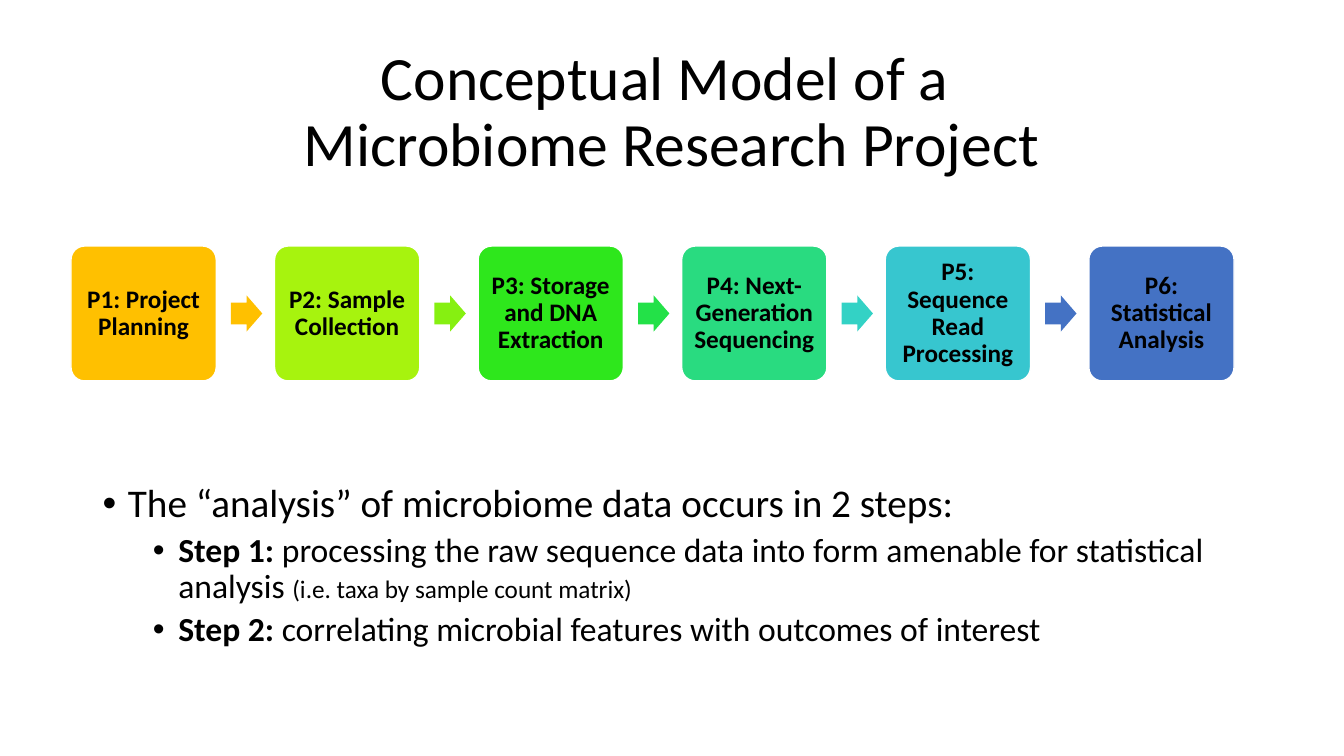
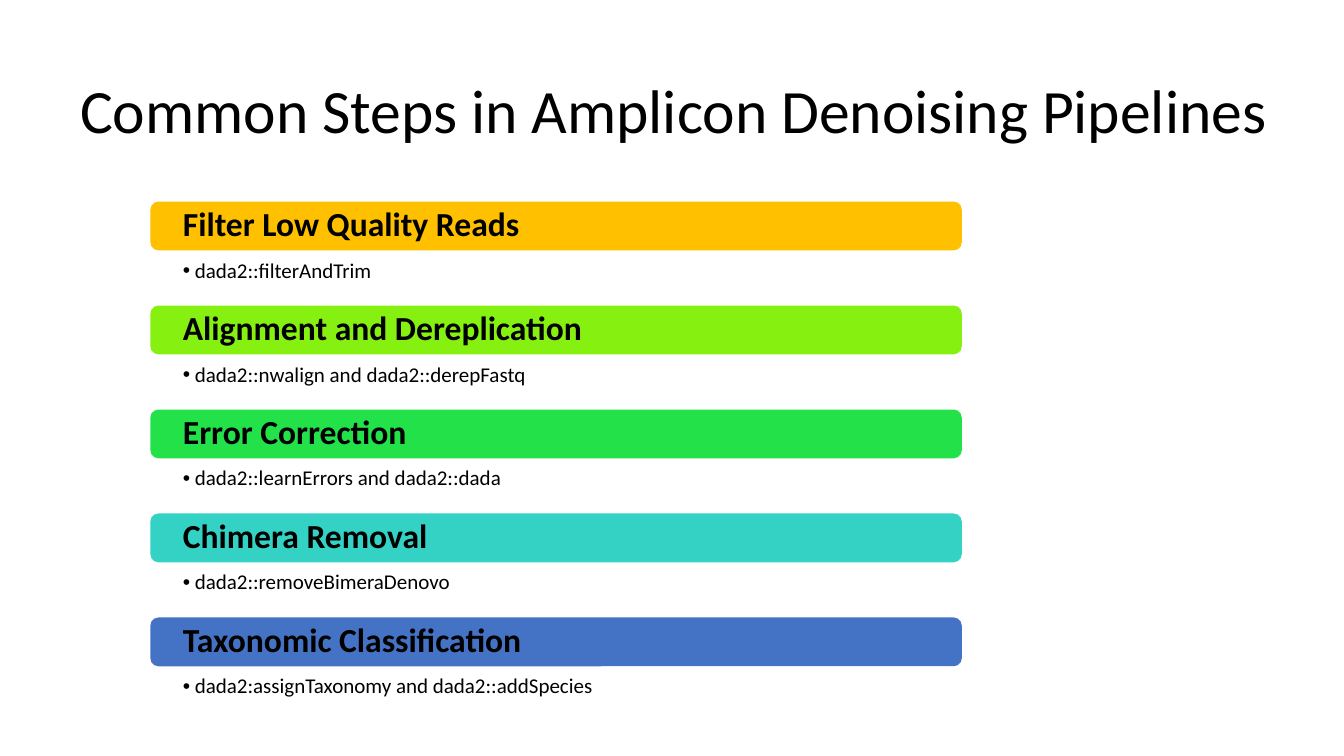
from lxml.etree import SubElement
from pptx import Presentation
from pptx.dml.color import RGBColor
from pptx.enum.shapes import MSO_SHAPE as SHAPE
from pptx.enum.text import MSO_ANCHOR as ANCHOR, MSO_AUTO_SIZE as AUTO, PP_ALIGN as ALIGN
from pptx.oxml.ns import qn
from pptx.util import Cm, Pt

# Content
MODEL_TITLE = ["Conceptual Model of a ", "Microbiome Research Project"]
PHASES = [  # label, card colour, colour of the arrow that follows
    ("P1: Project Planning", "FFC000", "FFC000"),
    ("P2: Sample Collection", "A7F30E", "86F011"),
    ("P3: Storage and DNA Extraction", "2EE71C", "23E148"),
    ("P4: Next-Generation Sequencing", "29DB80", "33D2C5"),
    ("P5: Sequence Read Processing", "37C6CF", "4472C4"),
    ("P6: Statistical Analysis", "4472C4", None),
]
ANALYSIS = [  # level, runs as (text, size, bold)
    (0, [("The “analysis” of microbiome data occurs in 2 steps:", 28, False)]),
    (1, [("Step 1:", 24, True),
         (" processing the raw sequence data into form amenable for statistical analysis ", 24, False),
         ("(i.e. taxa by sample count matrix)", 18, False)]),
    (1, [("Step 2: ", 24, True),
         ("correlating microbial features with outcomes of interest", 24, False)]),
]
PIPELINE_TITLE = ["Common Steps in Amplicon Denoising Pipelines"]
STEPS = [  # step, functions, bar colour
    ("Filter Low Quality Reads", "dada2::filterAndTrim", "FFC000"),
    ("Alignment and Dereplication", "dada2::nwalign and dada2::derepFastq", "86F011"),
    ("Error Correction", "dada2::learnErrors and dada2::dada", "23E148"),
    ("Chimera Removal", "dada2::removeBimeraDenovo", "33D2C5"),
    ("Taxonomic Classification", "dada2:assignTaxonomy and dada2::addSpecies", "4472C4"),
]

# Shared style
FONT, INK, WHITE = "Calibri", "000000", "FFFFFF"
LEVELS = [dict(indent=0.64, before=10), dict(indent=1.91, before=5)]
HANGING = 0.64

# Layout in cm
CARD = dict(left=1.79, top=6.2, width=3.66, height=3.4, step=5.13)
ARROW = dict(offset=4.03, width=0.79, height=0.91)
BAR = dict(left=3.79, top=5.08, width=20.45, height=1.23, step=2.62)
CODE = dict(left=4.61, offset=1.47, width=24.7, height=0.62)


def color(hex_text):
    return RGBColor.from_string(hex_text)


def place(sp, left, top, width, height):
    box = dict(left=left, top=top, width=width, height=height)
    for name, value in box.items():
        setattr(sp, name, Cm(value))


def set_frame(tf, anchor, side=None, edge=None):
    for name, value in dict(word_wrap=True, auto_size=AUTO.NONE, vertical_anchor=anchor).items():
        setattr(tf, name, value)
    for names, inset in ((("left", "right"), side), (("top", "bottom"), edge)):
        for name in names:
            if inset is not None:
                setattr(tf, f"margin_{name}", Cm(inset))


def set_paragraph(p, align=ALIGN.LEFT, before=0):
    style = dict(alignment=align, line_spacing=0.9, space_before=Pt(before), space_after=Pt(0))
    for name, value in style.items():
        setattr(p, name, value)


def add_run(p, text, size, bold=False):
    r = p.add_run()
    r.text = text
    for name, value in dict(name=FONT, size=Pt(size), bold=bold).items():
        setattr(r.font, name, value)
    r.font.color.rgb = color(INK)


def add_bullet(p, indent, hanging):
    pPr = p._p.get_or_add_pPr()
    pPr.set("marL", str(Cm(indent)))
    pPr.set("indent", str(-Cm(hanging)))
    SubElement(pPr, qn("a:buFont")).set("typeface", "Arial")
    SubElement(pPr, qn("a:buChar")).set("char", "•")


def add_preset(s, kind, fill, box, line=None):
    sp = s.shapes.add_shape(kind, *(Cm(v) for v in box))
    sp.shadow.inherit = False
    sp.fill.solid()
    sp.fill.fore_color.rgb = color(fill)
    if line:
        sp.line.color.rgb = color(line)
        sp.line.width = Pt(1)
    else:
        sp.line.fill.background()
    return sp


def add_titled_slide(prs, layout, title_lines, left, width):
    s = prs.slides.add_slide(prs.slide_layouts[layout])
    place(s.shapes.title, left, 1.02, width, 3.68)
    tf = s.shapes.title.text_frame
    set_frame(tf, ANCHOR.MIDDLE)
    p = tf.paragraphs[0]
    set_paragraph(p, ALIGN.CENTER)
    for i, line in enumerate(title_lines):
        if i:
            p.add_line_break()
        add_run(p, line, 44)
    return s


def build_model(prs):
    s = add_titled_slide(prs, 1, MODEL_TITLE, 2.33, 29.21)

    # Row of phases joined by arrows
    for i, (label, fill, arrow_fill) in enumerate(PHASES):
        left = CARD["left"] + i * CARD["step"]
        card = add_preset(s, SHAPE.ROUNDED_RECTANGLE, fill,
                          (left, CARD["top"], CARD["width"], CARD["height"]), WHITE)
        card.adjustments[0] = 0.1
        set_frame(card.text_frame, ANCHOR.MIDDLE, 0.18, 0.18)
        p = card.text_frame.paragraphs[0]
        set_paragraph(p, ALIGN.CENTER)
        add_run(p, label, 18, True)
        if arrow_fill:
            top = CARD["top"] + (CARD["height"] - ARROW["height"]) / 2
            arrow = add_preset(s, SHAPE.RIGHT_ARROW, arrow_fill,
                               (left + ARROW["offset"], top, ARROW["width"], ARROW["height"]))
            arrow.adjustments[0] = 0.6

    # Analysis steps
    body = s.placeholders[1]
    place(body, 2.33, 12.07, 29.21, 5.79)
    tf = body.text_frame
    set_frame(tf, ANCHOR.TOP)
    for i, (level, runs) in enumerate(ANALYSIS):
        p = tf.add_paragraph() if i else tf.paragraphs[0]
        p.level = level
        set_paragraph(p, before=LEVELS[level]["before"])
        add_bullet(p, LEVELS[level]["indent"], HANGING)
        for run in runs:
            add_run(p, *run)


def build_pipeline(prs):
    s = add_titled_slide(prs, 5, PIPELINE_TITLE, 0.81, 32.36)
    for i, (step, functions, fill) in enumerate(STEPS):
        top = BAR["top"] + i * BAR["step"]

        # Step bar
        bar = add_preset(s, SHAPE.ROUNDED_RECTANGLE, fill,
                         (BAR["left"], top, BAR["width"], BAR["height"]))
        set_frame(bar.text_frame, ANCHOR.MIDDLE, 0.76, 0)
        p = bar.text_frame.paragraphs[0]
        set_paragraph(p)
        add_run(p, step, 24, True)

        # Functions below the bar
        box = (CODE["left"], top + CODE["offset"], CODE["width"], CODE["height"])
        tf = s.shapes.add_textbox(*(Cm(v) for v in box)).text_frame
        set_frame(tf, ANCHOR.TOP, 0, 0)
        p = tf.paragraphs[0]
        set_paragraph(p)
        add_bullet(p, 0.3, 0.3)
        add_run(p, functions, 15)


def main():
    prs = Presentation()
    prs.slide_width, prs.slide_height = Cm(33.87), Cm(19.05)
    build_model(prs)
    build_pipeline(prs)
    prs.save("out.pptx")


if __name__ == "__main__":
    main()
